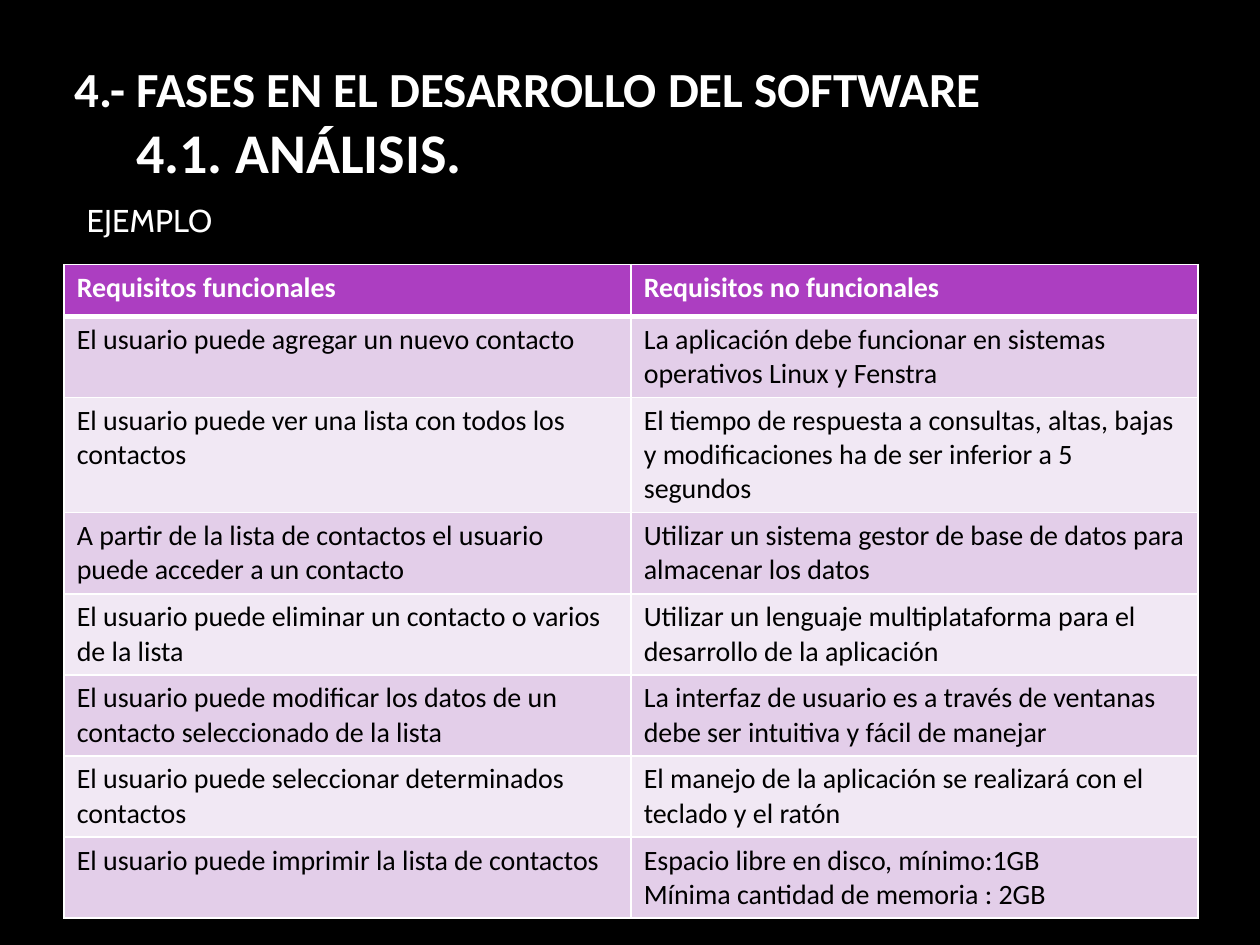
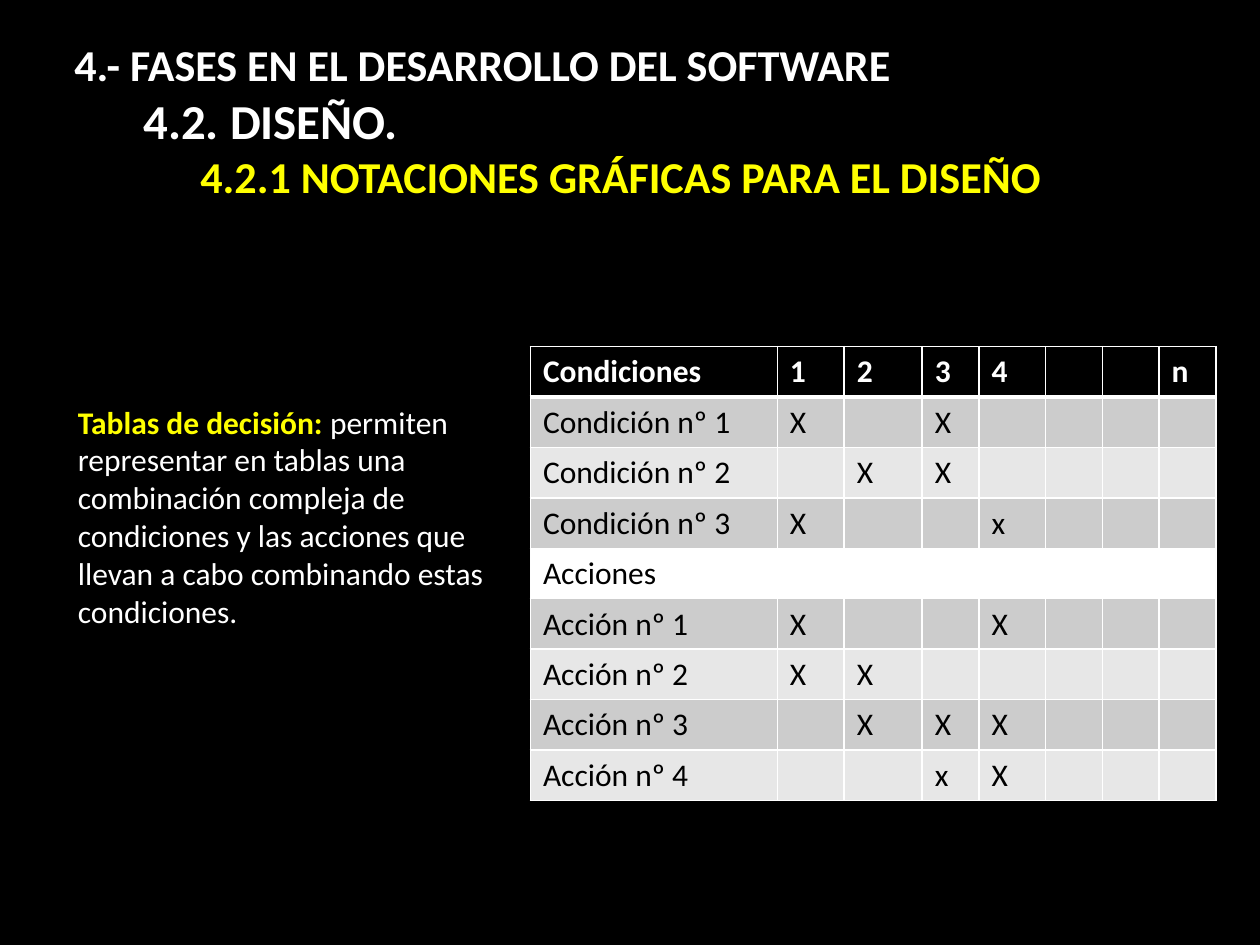
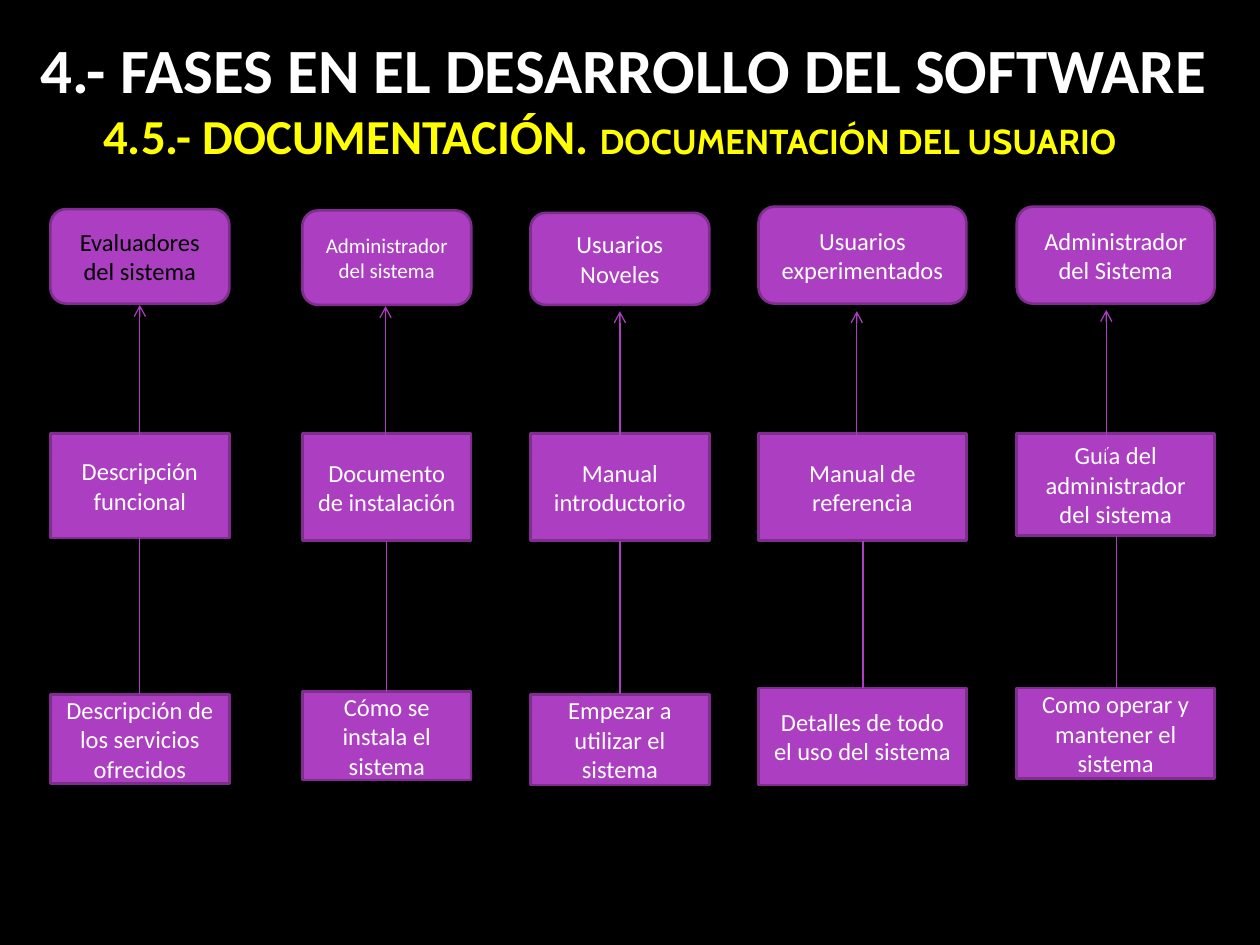
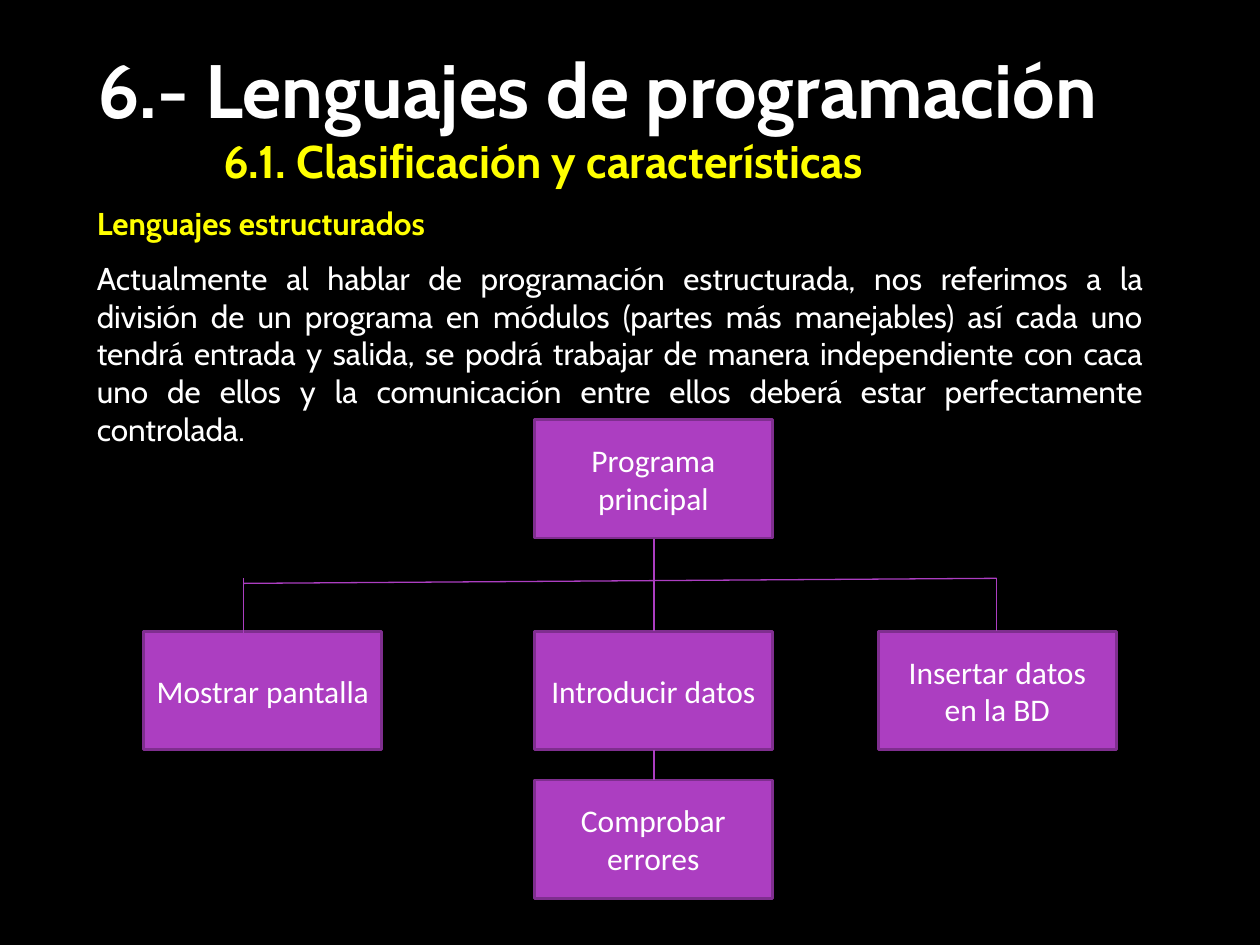
from lxml import etree
from pptx import Presentation
from pptx.dml.color import RGBColor
from pptx.enum import shapes, text
from pptx.oxml.ns import qn
from pptx.util import Inches, Pt

BLACK, WHITE, YELLOW = "000000", "FFFFFF", "FFFF00"
PURPLE, DARK_PURPLE = "AC3EC1", "7F2E8F"
LILAC, PALE_LILAC = "E3CEE9", "F1E8F4"
GREY, PALE_GREY = "CCCCCC", "E7E7E7"
LEFT, CENTER, JUSTIFY = (text.PP_ALIGN.LEFT, text.PP_ALIGN.CENTER,
                         text.PP_ALIGN.JUSTIFY)
TOP, MIDDLE = text.MSO_ANCHOR.TOP, text.MSO_ANCHOR.MIDDLE
RECT, ROUNDED = shapes.MSO_SHAPE.RECTANGLE, shapes.MSO_SHAPE.ROUNDED_RECTANGLE

PHASES = "4.- FASES EN EL DESARROLLO DEL SOFTWARE"

REQUIREMENTS = [
    ("Requisitos funcionales", "Requisitos no funcionales"),
    ("El usuario puede agregar un nuevo contacto",
     "La aplicación debe funcionar en sistemas operativos Linux y Fenstra"),
    ("El usuario puede ver una lista con todos los contactos",
     "El tiempo de respuesta a consultas, altas, bajas y modificaciones ha de ser "
     "inferior a 5 segundos"),
    ("A partir de la lista de contactos el usuario puede acceder a un contacto",
     "Utilizar un sistema gestor de base de datos para almacenar los datos"),
    ("El usuario puede eliminar un contacto o varios de la lista",
     "Utilizar un lenguaje multiplataforma para el desarrollo de la aplicación"),
    ("El usuario puede modificar los datos de un contacto seleccionado de la lista",
     "La interfaz de usuario es a través de ventanas debe ser intuitiva y fácil de "
     "manejar"),
    ("El usuario puede seleccionar determinados contactos",
     "El manejo de la aplicación se realizará con el teclado y el ratón"),
    ("El usuario puede imprimir la lista de contactos",
     "Espacio libre en disco, mínimo:1GB\nMínima cantidad de memoria : 2GB"),
]

DECISIONS = [
    ("Condiciones", "1", "2", "3", "4", "", "", "n"),
    ("Condición nº 1", "X", "", "X", "", "", "", ""),
    ("Condición nº 2", "", "X", "X", "", "", "", ""),
    ("Condición nº 3", "X", "", "", "x", "", "", ""),
    ("Acciones", "", "", "", "", "", "", ""),
    ("Acción nº 1", "X", "", "", "X", "", "", ""),
    ("Acción nº 2", "X", "X", "", "", "", "", ""),
    ("Acción nº 3", "", "X", "X", "X", "", "", ""),
    ("Acción nº 4", "", "", "x", "X", "", "", ""),
]

# left, width, (reader, top, height, format), (document, height),
# (purpose, top, height), (arrow x, arrow tip y), link x
DOCUMENTS = [
    (0.4, 1.42, ("Evaluadores del sistema", 1.66, 0.75, {"color": BLACK}),
     ("Descripción funcional", 0.83),
     ("Descripción de los servicios ofrecidos", 5.51, 0.71), (1.11, 2.42), 1.11),
    (2.4, 1.34, ("Administrador del sistema", 1.67, 0.75, {"size": 12}),
     ("Documento de instalación", 0.85),
     ("Cómo se instala el sistema", 5.49, 0.7), (3.06, 2.43), 3.07),
    (4.21, 1.42, ("Usuarios Noveles", 1.69, 0.73, {}),
     ("Manual introductorio", 0.85),
     ("Empezar a utilizar el sistema", 5.51, 0.72), (4.92, 2.47), 4.92),
    (6.02, 1.65, ("Usuarios experimentados", 1.64, 0.77, {}),
     ("Manual de referencia", 0.85),
     ("Detalles de todo el uso del sistema", 5.46, 0.77), (6.8, 2.47), 6.85),
    (8.07, 1.57, ("Administrador del Sistema", 1.64, 0.77, {}),
     ("Guía del administrador del sistema", 0.81),
     ("Como operar y mantener el sistema", 5.46, 0.72), (8.78, 2.46), 8.86),
]


def rgb(value):
    return RGBColor.from_string(value)


def inches(box):
    return [Inches(v) for v in box]


def write(p, words, size=18, font="Calibri", color=WHITE, bold=False):
    """Add one formatted run to a paragraph."""
    r = p.add_run()
    r.text = words
    r.font.size, r.font.name, r.font.bold = Pt(size), font, bold
    r.font.color.rgb = rgb(color)


def add_paragraph(tf, first, runs, align=LEFT, after=0, indent=0):
    """Write (text, format) runs into the first or a further paragraph."""
    p = tf.paragraphs[0] if first else tf.add_paragraph()
    p.alignment, p.space_after = align, Pt(after)
    if indent:
        pPr = p._p.get_or_add_pPr()
        pPr.set("marL", str(Inches(indent)))
        pPr.set("indent", "0")
    for words, fmt in runs:
        write(p, words, **fmt)


def add_title(s, box, lines, anchor=MIDDLE):
    """Fill the title with (indent, runs) lines."""
    title = s.shapes.title
    title.left, title.top, title.width, title.height = inches(box)
    tf = title.text_frame
    tf.word_wrap, tf.auto_size = True, text.MSO_AUTO_SIZE.NONE
    tf.vertical_anchor = anchor
    for i, (indent, runs) in enumerate(lines):
        bold_runs = [(words, {"bold": True, **fmt}) for words, fmt in runs]
        add_paragraph(tf, i == 0, bold_runs, indent=indent)


def add_text(s, box, paragraphs, anchor=MIDDLE, bottom=0.05):
    """Add a text box of (runs, paragraph format) items."""
    tf = s.shapes.add_textbox(*inches(box)).text_frame
    tf.word_wrap, tf.vertical_anchor = True, anchor
    tf.margin_bottom = Inches(bottom)
    for i, (runs, fmt) in enumerate(paragraphs):
        add_paragraph(tf, i == 0, runs, **fmt)


def add_box(s, box, words, shape=RECT, **fmt):
    sp = s.shapes.add_shape(shape, *inches(box))
    sp.shadow.inherit = False
    sp.fill.solid()
    sp.fill.fore_color.rgb = rgb(PURPLE)
    sp.line.color.rgb, sp.line.width = rgb(DARK_PURPLE), Pt(1.5)
    tf = sp.text_frame
    tf.word_wrap, tf.vertical_anchor = True, MIDDLE
    add_paragraph(tf, True, [(words, fmt)], align=CENTER)


def add_line(s, x1, y1, x2, y2, arrow=False):
    c = s.shapes.add_connector(shapes.MSO_CONNECTOR.STRAIGHT,
                               *inches((x1, y1, x2, y2)))
    c.line.color.rgb, c.line.width = rgb(PURPLE), Pt(0.75)
    spPr = c._element.spPr
    if arrow:
        etree.SubElement(spPr.find(qn("a:ln")), qn("a:tailEnd"), type="arrow")
    etree.SubElement(spPr, qn("a:effectLst"))


def set_borders(cell, row):
    """White borders, thicker between the heading and the body."""
    tcPr = cell._tc.get_or_add_tcPr()
    for side in "LRTB":
        width = 3 if (row, side) in ((0, "B"), (1, "T")) else 1
        ln = etree.SubElement(tcPr, qn(f"a:ln{side}"), w=str(Pt(width)))
        fill = etree.SubElement(ln, qn("a:solidFill"))
        etree.SubElement(fill, qn("a:srgbClr"), val=WHITE)


def add_grid(s, box, rows, widths, row_height, fills, size):
    """Add a table with one fill per row and a bold white heading."""
    frame = s.shapes.add_table(len(rows), len(widths), *inches(box))
    table = frame.table
    for column, width in zip(table.columns, widths):
        column.width = Inches(width)
    for i, (row, fill) in enumerate(zip(rows, fills)):
        table.rows[i].height = Inches(row_height)
        for j, words in enumerate(row):
            cell = table.cell(i, j)
            set_borders(cell, i)
            cell.fill.solid()
            cell.fill.fore_color.rgb = rgb(fill)
            fmt = {"size": size, "bold": i == 0, "color": BLACK if i else WHITE}
            for k, line in enumerate(words.split("\n")):
                add_paragraph(cell.text_frame, k == 0, [(line, fmt)] if line else [])
    frame.height = Inches(box[3])


def requirements_slide(s):
    add_title(s, (0.49, 0.17, 8.5, 1.59), [
        (0, [(PHASES, {"size": 28})]),
        (0.49, [("4.1. ANÁLISIS.", {"size": 32})])])
    add_grid(s, (0.51, 2.1, 9, 5.11), REQUIREMENTS, (4.5, 4.5), 0.41,
             [PURPLE] + [LILAC, PALE_LILAC] * 3 + [LILAC], 16)
    add_text(s, (0.59, 1.55, 2.13, 0.4), [([("EJEMPLO", {"font": "Cabin"})], {})],
             anchor=TOP)


def decision_slide(s):
    add_text(s, (0.52, 2.26, 3.61, 4.09), [([
        ("Tablas de decisión: ", {"color": YELLOW, "bold": True}),
        ("permiten representar en tablas una combinación compleja de condiciones y "
         "las acciones que llevan a cabo combinando estas condiciones.", {}),
    ], {"after": 10})], bottom=0.47)
    add_grid(s, (4.21, 2.75, 5.43, 3.6), DECISIONS,
             (1.96, 0.53, 0.62, 0.45, 0.53, 0.45, 0.45, 0.45), 0.36,
             [BLACK, GREY, PALE_GREY, GREY, WHITE] + [GREY, PALE_GREY] * 2, 18)
    add_title(s, (0.49, 0.25, 9, 1.4), [
        (0, [(PHASES, {"size": 25.2})]),
        (0.55, [("4.2. DISEÑO.", {"size": 27.9})]),
        (1, [("4.2.1 NOTACIONES GRÁFICAS PARA EL DISEÑO",
              {"size": 25.2, "color": YELLOW})])])


def document_column(s, x, w, reader, document, purpose, tip, link_x):
    """Reader, document and purpose, one above the other and joined."""
    top = 3.44
    words, y, h, fmt = reader
    add_box(s, (x, y, w, h), words, ROUNDED, **{"size": 14, **fmt})
    words, h = document
    add_box(s, (x, top, w, h), words, size=14)
    words, y, purpose_h = purpose
    add_box(s, (x, y, w, purpose_h), words, size=14)
    tip_x, tip_y = tip
    add_line(s, tip_x, tip_y + 1.2, tip_x, tip_y, arrow=True)
    add_line(s, link_x, y, link_x, top + h)


def documentation_slide(s):
    add_title(s, (0.22, 0.19, 9.78, 1.59), [
        (0, [(PHASES, {"size": 36})]),
        (0.5, [("4.5.- DOCUMENTACIÓN. ", {"size": 27.9, "color": YELLOW}),
               ("DOCUMENTACIÓN DEL USUARIO",
                {"size": 19.8, "font": "Cabin", "color": YELLOW})])], anchor=TOP)
    for column in DOCUMENTS:
        document_column(s, *column)


def module_tree(s, x, y):
    """Main program, its three modules and one submodule."""
    w, h = 1.89, 0.94
    for dx, dy, words in ((3.1, 0, "Programa principal"),
                          (3.1, 1.68, "Introducir datos"),
                          (5.83, 1.68, "Insertar datos en la BD"),
                          (0, 1.68, "Mostrar pantalla"),
                          (3.1, 2.86, "Comprobar errores")):
        add_box(s, (x + dx, y + dy, w, h), words)
    for x1, y1, x2, y2 in ((4.05, 0.95, 4.05, 1.68), (4.05, 2.62, 4.05, 2.86),
                           (0.79, 1.3, 6.77, 1.26), (0.79, 1.86, 0.79, 1.26),
                           (6.77, 1.68, 6.77, 1.26)):
        add_line(s, x + x1, y + y1, x + x2, y + y2)


def languages_slide(s):
    add_text(s, (0.67, 1.31, 8.5, 2.55), [
        ([("Lenguajes estructurados",
           {"font": "Cabin", "color": YELLOW, "bold": True})], {"after": 10}),
        ([("Actualmente al hablar de programación estructurada, nos referimos a la "
           "división de un programa en módulos (partes más manejables) así cada uno "
           "tendrá entrada y salida, se podrá trabajar de manera independiente con "
           "caca uno de ellos y la comunicación entre ellos deberá estar "
           "perfectamente controlada.", {"font": "Cabin"})],
         {"align": JUSTIFY, "after": 10})])
    module_tree(s, 1.14, 3.33)
    add_title(s, (0.67, 0.29, 9, 1.25), [
        (0, [("6.- Lenguajes de programación", {"size": 43.2, "font": "Cabin"})]),
        (1, [("6.1. Clasificación y características",
              {"size": 26.1, "font": "Cabin", "color": YELLOW})])])


def main():
    prs = Presentation()
    prs.slide_width, prs.slide_height = Inches(10), Inches(7.5)
    background = prs.slide_master.background.fill
    background.solid()
    background.fore_color.rgb = rgb(BLACK)
    title_only = prs.slide_layouts[5]
    for build in (requirements_slide, decision_slide, documentation_slide,
                  languages_slide):
        build(prs.slides.add_slide(title_only))
    prs.save("out.pptx")


if __name__ == "__main__":
    main()
